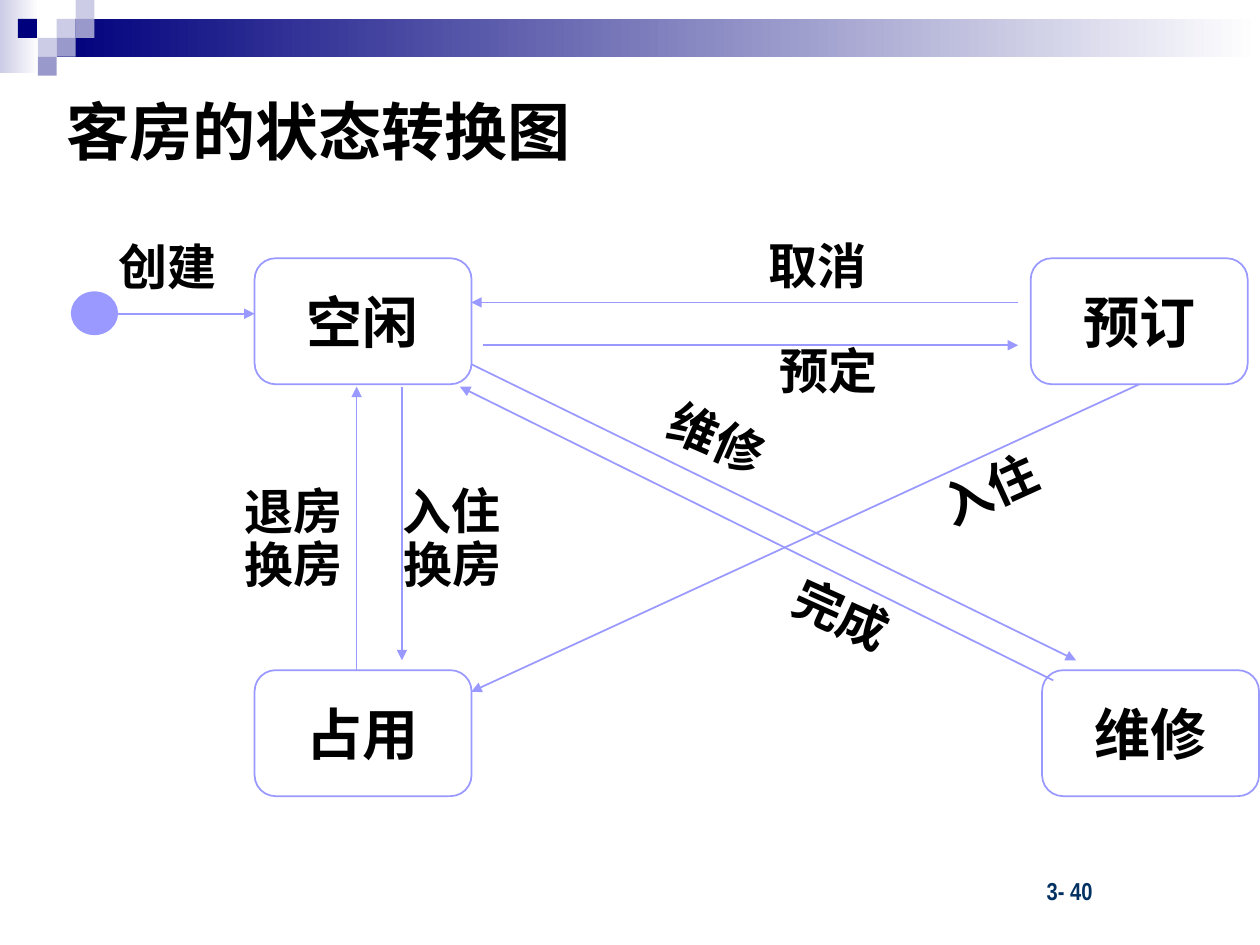
from lxml import etree
from pptx import Presentation
from pptx.dml.color import RGBColor
from pptx.enum.shapes import MSO_CONNECTOR, MSO_SHAPE
from pptx.enum.text import MSO_ANCHOR, PP_ALIGN
from pptx.oxml.ns import qn
from pptx.util import Pt

RECT, ROUNDED, OVAL = MSO_SHAPE.RECTANGLE, MSO_SHAPE.ROUNDED_RECTANGLE, MSO_SHAPE.OVAL
STRAIGHT = MSO_CONNECTOR.STRAIGHT
TOP, MIDDLE = MSO_ANCHOR.TOP, MSO_ANCHOR.MIDDLE
LEFT, CENTER = PP_ALIGN.LEFT, PP_ALIGN.CENTER
BOTTOM_SITE = 2

BLACK = RGBColor(0x00, 0x00, 0x00)
WHITE = RGBColor(0xFF, 0xFF, 0xFF)
NAVY = RGBColor(0x00, 0x00, 0x7D)
PALE = RGBColor(0xCC, 0xCC, 0xE6)
MID = RGBColor(0x99, 0x99, 0xCC)
VIOLET = RGBColor(0x99, 0x99, 0xFF)
FOOTER_BLUE = RGBColor(0x00, 0x31, 0x62)


def write(tf, text, size, font="Times New Roman", color=BLACK, align=LEFT, spacing=None):
    tf.text = text
    for p in tf.paragraphs:
        p.alignment = align
        p.line_spacing = spacing
        for r in p.runs:
            r.font.size = Pt(size)
            r.font.name = font
            r.font.bold = True
            r.font.color.rgb = color


def add_block(s, shape, x, y, w, h, fill=None, line=None):
    sp = s.shapes.add_shape(shape, Pt(x), Pt(y), Pt(w), Pt(h))
    sp.shadow.inherit = False
    if fill is None:
        sp.fill.background()
    elif isinstance(fill, RGBColor):
        sp.fill.solid()
        sp.fill.fore_color.rgb = fill
    else:
        sp.fill.gradient()
        sp.fill.gradient_angle = 0
        for stop, color in zip(sp.fill.gradient_stops, fill):
            stop.color.rgb = color
    if line is None:
        sp.line.fill.background()
    else:
        sp.line.color.rgb = line
        sp.line.width = Pt(1)
    return sp


def add_header(s, x, y, w):
    cell = 10.8
    add_block(s, RECT, x, y, 22.3, 41.8, [PALE, WHITE])
    add_block(s, RECT, x + 3 * cell, y + cell, w - 3 * cell, 21.6, [NAVY, WHITE])
    squares = [(3, 1, PALE), (4, 0, PALE), (4, 1, MID), (2, 2, PALE),
               (0.95, 1, NAVY), (3, 2, MID), (2, 3, MID)]
    for col, row, color in squares:
        add_block(s, RECT, x + col * cell, y + row * cell, cell, cell, color)


def add_title(s, x, y, w, h):
    title = s.shapes.title
    title.left, title.top, title.width, title.height = Pt(x), Pt(y), Pt(w), Pt(h)
    tf = title.text_frame
    write(tf, "客房的状态转换图", 36, "Arial")
    tf.vertical_anchor = TOP


def add_state(s, x, y, name):
    sp = add_block(s, ROUNDED, x, y, 124, 72, line=VIOLET)
    tf = sp.text_frame
    write(tf, name, 32, align=CENTER)
    tf.vertical_anchor = MIDDLE
    tf.word_wrap = False
    return sp


def add_arrow(s, x1, y1, x2, y2):
    c = s.shapes.add_connector(STRAIGHT, Pt(x1), Pt(y1), Pt(x2), Pt(y2))
    c.line.color.rgb = VIOLET
    c.line.width = Pt(1)
    etree.SubElement(c.line._get_or_add_ln(), qn("a:tailEnd"), type="triangle")
    etree.SubElement(c._element.spPr, qn("a:effectLst"))
    return c


def add_label(s, x, y, w, text, rotation):
    lines = text.count("\n") + 1
    box = s.shapes.add_textbox(Pt(x), Pt(y), Pt(w), Pt(41 if lines == 1 else 67.7))
    box.rotation = rotation
    box.text_frame.word_wrap = True
    write(box.text_frame, text, 28, spacing=0.9 if lines > 1 else None)


def add_state_diagram(s, x, y):
    left, upper, lower = 105.5, 17.6, 253
    add_state(s, x + left, y + upper, "空闲")
    add_state(s, x + left, y + lower, "占用")
    reserved = add_state(s, x + 549, y + upper, "预订")
    add_state(s, x + 555.5, y + lower, "维修")
    add_block(s, OVAL, x + 1, y + 37, 26, 24, VIOLET, VIOLET)

    arrows = [
        (27, 49.3, left, 49.3),
        (541.8, 42.8, 229.3, 42.8),
        (235.8, 67.3, 541.8, 67.3),
        (561.9, 258.8, 222.8, 91),
        (229.3, 78.1, 574.9, 247.3),
        (189.7, 91, 189.7, 247.3),
        (163.8, lower, 163.8, 91),
    ]
    for x1, y1, x2, y2 in arrows:
        add_arrow(s, x + x1, y + y1, x + x2, y + y2)
    check_in = add_arrow(s, x + 611, y + 89.6, x + 229.3, y + 265.3)
    check_in.begin_connect(reserved, BOTTOM_SITE)

    labels = [
        (20.5, 1.8, 91.4, "创建", 0),
        (392, 1, 91.4, "取消", 0),
        (398.5, 60.8, 91.4, "预定", 0),
        (489.9, 127, 78.5, "入住", 335.6),
        (333.7, 104, 91.4, "维修", 23.8),
        (405, 204.8, 91.4, "完成", 24.2),
        (92.5, 145, 91.4, "退房\n换房", 359.7),
        (183.2, 145, 91.4, "入住\n换房", 359.7),
    ]
    for lx, ly, w, text, rotation in labels:
        add_label(s, x + lx, y + ly, w, text, rotation)


def add_page_number(s, x, y, w, h):
    box = s.shapes.add_textbox(Pt(x), Pt(y), Pt(w), Pt(h))
    tf = box.text_frame
    tf.word_wrap = True
    write(tf, "3- 40", 14, "Arial Narrow", FOOTER_BLUE)
    tf.paragraphs[0]._p.get_or_add_pPr().set("marL", str(Pt(67)))


def main():
    prs = Presentation()
    prs.slide_width, prs.slide_height = Pt(720), Pt(540)
    s = prs.slides.add_slide(prs.slide_layouts[5])
    add_header(s, 0, 0, 720)
    add_title(s, 31, 49, 340.6, 54)
    add_state_diagram(s, 40, 130)
    add_page_number(s, 524, 497, 150, 24)
    prs.save("out.pptx")


if __name__ == "__main__":
    main()
